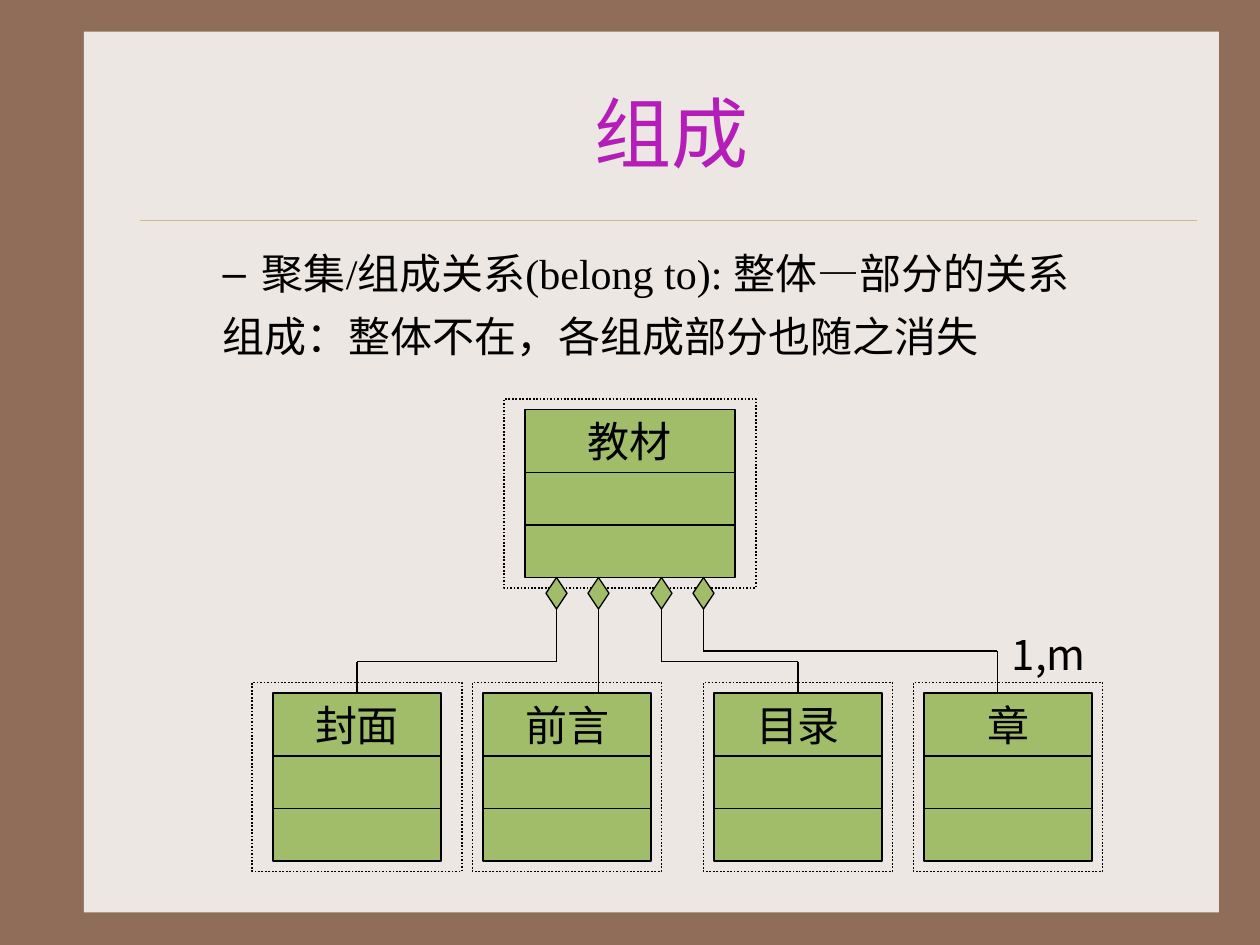
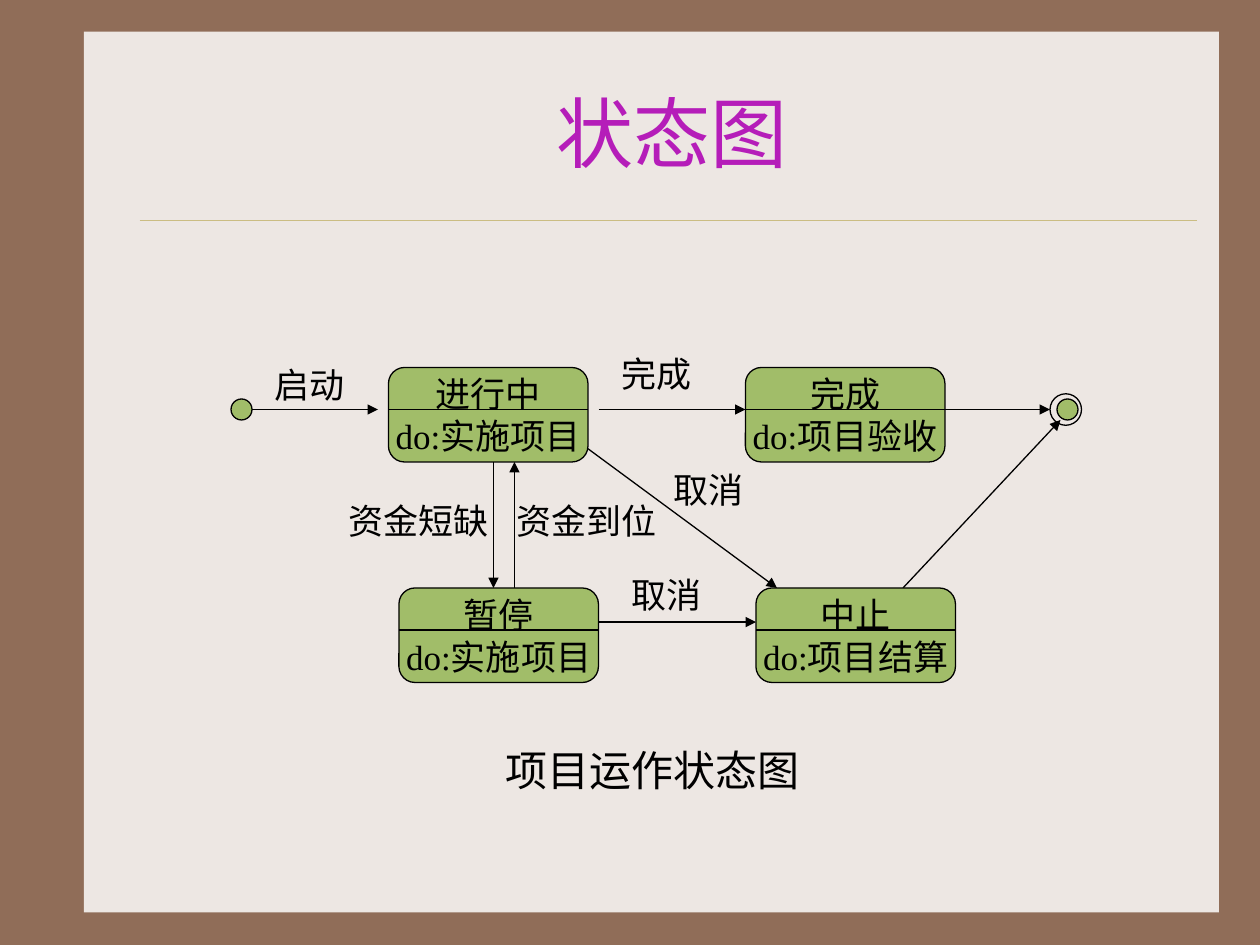
from dataclasses import dataclass

from lxml import etree
from pptx import Presentation
from pptx.dml.color import RGBColor
from pptx.enum.dml import MSO_LINE
from pptx.enum.shapes import MSO_CONNECTOR, MSO_SHAPE
from pptx.enum.text import MSO_ANCHOR, MSO_AUTO_SIZE, PP_ALIGN
from pptx.oxml.ns import qn
from pptx.util import Cm, Pt

RECTANGLE = MSO_SHAPE.RECTANGLE
ROUNDED = MSO_SHAPE.ROUNDED_RECTANGLE
DIAMOND = MSO_SHAPE.DIAMOND
OVAL = MSO_SHAPE.OVAL
STRAIGHT = MSO_CONNECTOR.STRAIGHT
DOTTED = MSO_LINE.ROUND_DOT
LEFT, CENTER = PP_ALIGN.LEFT, PP_ALIGN.CENTER
TOP, MIDDLE = MSO_ANCHOR.TOP, MSO_ANCHOR.MIDDLE
NO_AUTOFIT = MSO_AUTO_SIZE.NONE
TITLE_AND_BODY, TITLE_ONLY = 1, 5


@dataclass(frozen=True)
class Theme:
    border: str = "906D58"
    panel: str = "EDE7E3"
    rule: str = "CBBD83"
    title: str = "B51DB9"
    ink: str = "000000"
    node: str = "A1BD69"
    serif: str = "Times New Roman"
    sans: str = "Noto Sans CJK SC"
    title_size: int = 44
    text_size: int = 24
    state_size: int = 20
    line: float = 0.75
    frame_line: float = 1
    rule_line: float = 0.25


def grid(steps):
    """Everything sits on a grid of twelve steps to the inch."""
    return Cm(steps * 2.54 / 12)


def color(value):
    return RGBColor.from_string(value)


class Sketch:
    """Holds the theme and the current slide, and draws on it."""

    def __init__(self, deck, theme):
        self.deck = deck
        self.theme = theme
        self.slide = None

    def new_slide(self, layout, title):
        self.slide = self.deck.slides.add_slide(self.deck.slide_layouts[layout])
        box = self.slide.shapes.title
        self.place(box, 14, 5, 100, 15)
        self.set_text(box, title, self.theme.title_size, self.theme.serif,
                      self.theme.title, CENTER, MIDDLE, wrap=True)

    def place(self, box, left, top, width, height):
        box.left, box.top = grid(left), grid(top)
        box.width, box.height = grid(width), grid(height)

    def set_text(self, box, text, size, font, ink=None, align=LEFT, anchor=TOP, wrap=False):
        frame = box.text_frame
        frame.text = text
        frame.auto_size = NO_AUTOFIT
        frame.word_wrap = wrap
        frame.vertical_anchor = anchor
        for para in frame.paragraphs:
            para.alignment = align
            for span in para.runs:
                span.font.size = Pt(size)
                span.font.color.rgb = color(ink or self.theme.ink)
                span.font.name = font
                east = etree.SubElement(span.font._element, qn("a:ea"))
                east.set("typeface", self.theme.sans)

    def statement(self, box, text, bullet=None):
        """Sets one indented line of body text."""
        self.set_text(box, text, self.theme.text_size, self.theme.serif, wrap=True)
        para = box.text_frame.paragraphs[0]
        para.space_before = Pt(6)
        properties = para._p.get_or_add_pPr()
        properties.set("marL", str(Cm(2.06)))
        properties.set("indent", str(Cm(-0.79)))
        if bullet:
            tint = etree.SubElement(properties, qn("a:buClr"))
            etree.SubElement(tint, qn("a:srgbClr")).set("val", self.theme.ink)
            etree.SubElement(properties, qn("a:buChar")).set("char", bullet)

    def text_box(self, left, top, width, height):
        return self.slide.shapes.add_textbox(
            grid(left), grid(top), grid(width), grid(height))

    def label(self, text, left, top, width, size):
        box = self.text_box(left, top, width, 5.3)
        self.set_text(box, text, size, self.theme.sans)

    def shape(self, kind, left, top, width, height, fill=None, outline=True):
        box = self.slide.shapes.add_shape(
            kind, grid(left), grid(top), grid(width), grid(height))
        box.shadow.inherit = False
        if fill:
            box.fill.solid()
            box.fill.fore_color.rgb = color(fill)
        else:
            box.fill.background()
        if outline:
            box.line.color.rgb = color(self.theme.ink)
            box.line.width = Pt(self.theme.line)
        else:
            box.line.fill.background()
        return box

    def line(self, x1, y1, x2, y2, arrow=False, ink=None, weight=None):
        line = self.slide.shapes.add_connector(
            STRAIGHT, grid(x1), grid(y1), grid(x2), grid(y2))
        line.line.color.rgb = color(ink or self.theme.ink)
        line.line.width = Pt(weight or self.theme.line)
        if arrow:
            outline = line.element.spPr.find(qn("a:ln"))
            etree.SubElement(outline, qn("a:tailEnd")).set("type", "triangle")
        etree.SubElement(line.element.spPr, qn("a:effectLst"))
        return line

    def backdrop(self):
        """Moves the panel and the rule under the title to the slide master."""
        master = self.deck.slide_master
        master.background.fill.solid()
        master.background.fill.fore_color.rgb = color(self.theme.border)
        panel = self.shape(RECTANGLE, 8, 3, 108.1, 83.9, self.theme.panel, outline=False)
        rule = self.line(13.3, 21, 114, 21, ink=self.theme.rule,
                         weight=self.theme.rule_line)
        for position, part in enumerate((panel, rule)):
            part.element.xpath("./*/p:cNvPr")[0].set("id", str(100 + position))
            master.element.cSld.spTree.insert(2 + position, part.element)

    def class_box(self, name, left, top, width, margin):
        """Draws a class with three compartments in a dotted frame."""
        frame = self.shape(RECTANGLE, left - margin, top - 1, width + 2 * margin, 18)
        frame.line.width = Pt(self.theme.frame_line)
        frame.line.dash_style = DOTTED
        head = self.shape(RECTANGLE, left, top, width, 6, self.theme.node)
        self.set_text(head, name, self.theme.text_size, self.theme.sans,
                      align=CENTER, anchor=MIDDLE)
        for offset in (6, 11):
            self.shape(RECTANGLE, left, top + offset, width, 5, self.theme.node)

    def part_link(self, x, bend, foot):
        """Draws a composition diamond and its stepped line to a part."""
        self.shape(DIAMOND, x - 1, 55, 2, 3, self.theme.node)
        if x == foot:
            self.line(x, 58, x, 66)
            return
        self.line(x, 58, x, bend)
        self.line(x, bend, foot, bend)
        self.line(foot, bend, foot, 66)

    def state(self, name, action, left, top):
        box = self.shape(ROUNDED, left, top, 19, 9, self.theme.node)
        box.adjustments[0] = 0.17
        self.set_text(box, f"{name}\ndo:{action}", self.theme.state_size,
                      self.theme.serif, align=CENTER, anchor=MIDDLE)
        self.line(left, top + 4, left + 19, top + 4)


def composition(sketch):
    sketch.new_slide(TITLE_AND_BODY, "组成")
    sketch.backdrop()

    # Definitions
    body = sketch.slide.placeholders[1]
    sketch.place(body, 14, 23, 100, 8)
    sketch.statement(body, "聚集/组成关系(belong to): 整体—部分的关系", "–")
    sketch.statement(sketch.text_box(14, 29, 100, 8),
                     "组成：整体不在，各组成部分也随之消失")

    # The whole and its parts: name, left, top, width, frame margin
    for class_box in (
        ("教材", 50, 39, 20, 2),
        ("封面", 26, 66, 16, 2),
        ("前言", 46, 66, 16, 1),
        ("目录", 68, 66, 16, 1),
        ("章", 88, 66, 16, 1),
    ):
        sketch.class_box(*class_box)

    # Links: diamond centre, height of the bend, end above the part
    for link in ((53, 63, 34), (57, 63, 57), (63, 63, 76), (67, 62, 95)):
        sketch.part_link(*link)
    sketch.label("1,m", 95.2, 59.3, 9.6, sketch.theme.text_size)


def state_diagram(sketch):
    sketch.new_slide(TITLE_ONLY, "状态图")
    theme = sketch.theme

    # Start and end points
    sketch.shape(OVAL, 22, 38, 2, 2, theme.node)
    sketch.shape(OVAL, 100, 37.5, 3, 3)
    sketch.shape(OVAL, 100.67, 38, 2, 2, theme.node)

    # Transitions
    for ends in (
        (24, 39, 36, 39),
        (57, 39, 71, 39),
        (88, 39, 100, 39),
        (47, 44, 47, 56),
        (49, 56, 49, 44),
        (57, 59.25, 72, 59.25),
        (55, 42, 74, 56),
        (86, 56, 101, 40),
    ):
        sketch.line(*ends, arrow=True)
    for text, left, top, width in (
        ("启动", 25, 34, 9),
        ("完成", 58, 33, 9),
        ("资金短缺", 32, 47, 16),
        ("资金到位", 48, 47, 16),
        ("取消", 59, 54, 9),
        ("取消", 63, 44, 9),
    ):
        sketch.label(text, left, top, width, theme.state_size)

    # States
    for state in (
        ("进行中", "实施项目", 37, 35),
        ("暂停", "实施项目", 38, 56),
        ("中止", "项目结算", 72, 56),
        ("完成", "项目验收", 71, 35),
    ):
        sketch.state(*state)

    # Caption
    sketch.label("项目运作状态图", 47, 70.3, 30.4, theme.text_size)


def main():
    deck = Presentation()
    deck.slide_width, deck.slide_height = Cm(25.4), Cm(19.05)
    sketch = Sketch(deck, Theme())
    composition(sketch)
    state_diagram(sketch)
    deck.save("out.pptx")


if __name__ == "__main__":
    main()
